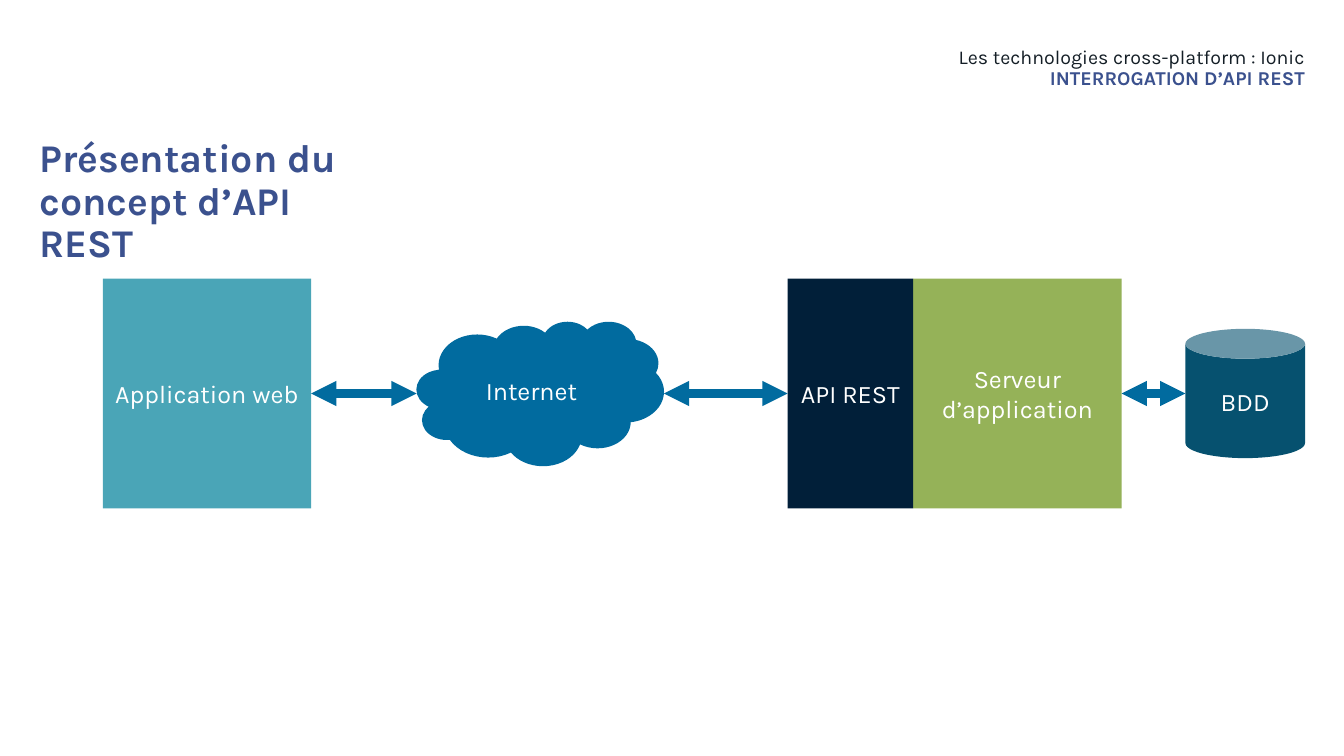
"""Build the slide that presents the REST API concept as a chain of blocks."""
from dataclasses import dataclass

from lxml.etree import SubElement
from pptx import Presentation
from pptx.dml.color import RGBColor as RGB
from pptx.enum.shapes import MSO_CONNECTOR as Conn, MSO_SHAPE as Kind
from pptx.enum.text import MSO_ANCHOR as Anchor, PP_ALIGN as Align
from pptx.oxml.ns import qn
from pptx.util import Inches, Pt

HUES = {"title": "3B518E", "ink": "141E26", "white": "FFFFFF", "web": "4AA5B7",
        "app": "95B258", "api": "011F39", "net": "016B9F", "base": "06516F"}
FONT = "Karla"
WIDE, HIGH = Inches(13.33), Inches(7.5)
MID = 52.05


@dataclass(frozen=True)
class Block:
    text: str
    hue: str
    left: float
    width: float
    height: float
    kind: Kind = Kind.RECTANGLE

    @property
    def right(self) -> float:
        return self.left + self.width


@dataclass(frozen=True)
class Line:
    text: str
    hue: str
    size: int
    bold: bool = False


WEB = Block("Application web", "web", 7.65, 15.5, 30.4)
APP = Block("Serveur d’application", "app", 67.95, 15.5, 30.4)
API = Block("API REST", "api", 58.6, 9.35, 30.4)
NET = Block("Internet", "net", 31, 18.4, 19.1, Kind.CLOUD)
BASE = Block("BDD", "base", 88.2, 8.9, 17.1, Kind.CAN)
BLOCKS = (WEB, APP, API, NET, BASE)
LINKS = ((WEB, NET), (NET, API), (APP, BASE))


def col(share: float) -> int:
    return round(WIDE * share / 100)


def row(share: float) -> int:
    return round(HIGH * share / 100)


def style(para, line: Line, align: Align) -> None:
    para.text = line.text
    para.alignment = align
    font = para.font
    font.name, font.size, font.bold = FONT, Pt(line.size), line.bold
    font.color.rgb = RGB.from_string(HUES[line.hue])


def add_text(slide, left: float, top: float, width: float, height: float,
             lines: tuple[Line, ...], align: Align) -> None:
    frame = slide.shapes.add_textbox(
        col(left), row(top), col(width), row(height)).text_frame
    frame.word_wrap = True
    frame.margin_left = frame.margin_right = 0
    frame.margin_top = frame.margin_bottom = 0
    for rank, line in enumerate(lines):
        para = frame.add_paragraph() if rank else frame.paragraphs[0]
        style(para, line, align)
        para.line_spacing = 0.9


def add_block(slide, block: Block) -> None:
    shape = slide.shapes.add_shape(
        block.kind, col(block.left), row(MID - block.height / 2),
        col(block.width), row(block.height))
    shape.shadow.inherit = False
    shape.fill.solid()
    shape.fill.fore_color.rgb = RGB.from_string(HUES[block.hue])
    shape.line.fill.background()
    frame = shape.text_frame
    frame.word_wrap = True
    frame.vertical_anchor = Anchor.MIDDLE
    style(frame.paragraphs[0], Line(block.text, "white", 18), Align.CENTER)


def add_link(slide, start: Block, end: Block) -> None:
    link = slide.shapes.add_connector(
        Conn.ELBOW, col(start.right), row(MID), col(end.left), row(MID))
    link.line.width = Pt(6)
    link.line.color.rgb = RGB.from_string(HUES["net"])
    edge = link.line._get_or_add_ln()
    for tip in ("a:headEnd", "a:tailEnd"):
        SubElement(edge, qn(tip), type="triangle")
    SubElement(link._element.spPr, qn("a:effectLst"))


def main() -> None:
    deck = Presentation()
    deck.slide_width, deck.slide_height = WIDE, HIGH
    slide = deck.slides.add_slide(deck.slide_layouts[6])
    add_text(slide, 2.95, 18.4, 23.4, 64.5,
             (Line("Présentation du concept d’API REST", "title", 28, True),),
             Align.LEFT)
    add_text(slide, 31.4, 6.3, 65.7, 7.9,
             (Line("Les technologies cross-platform : Ionic", "ink", 14),
              Line("INTERROGATION D’API REST", "title", 14, True)),
             Align.RIGHT)
    for block in BLOCKS:
        add_block(slide, block)
    for start, end in LINKS:
        add_link(slide, start, end)
    deck.save("out.pptx")


if __name__ == "__main__":
    main()
